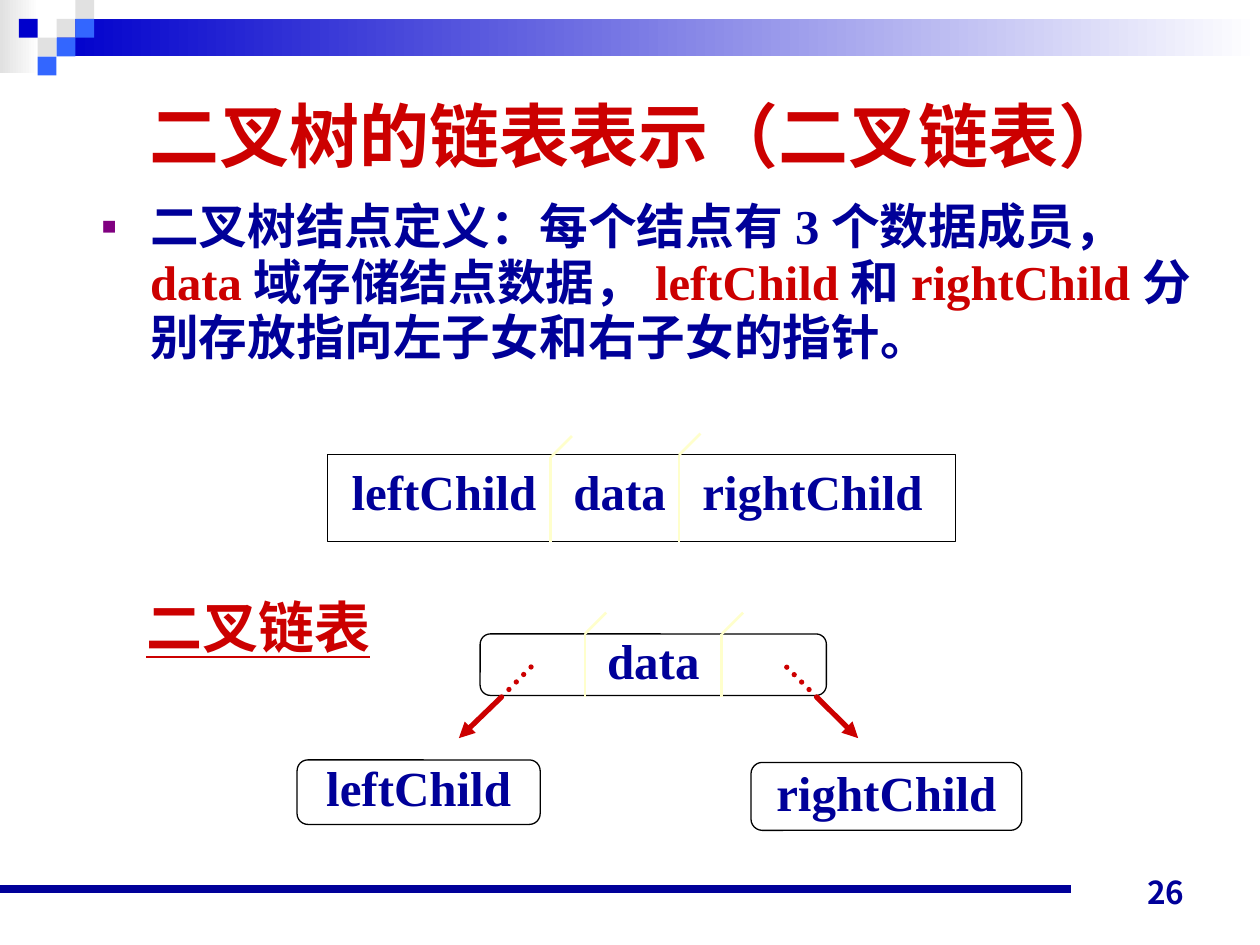
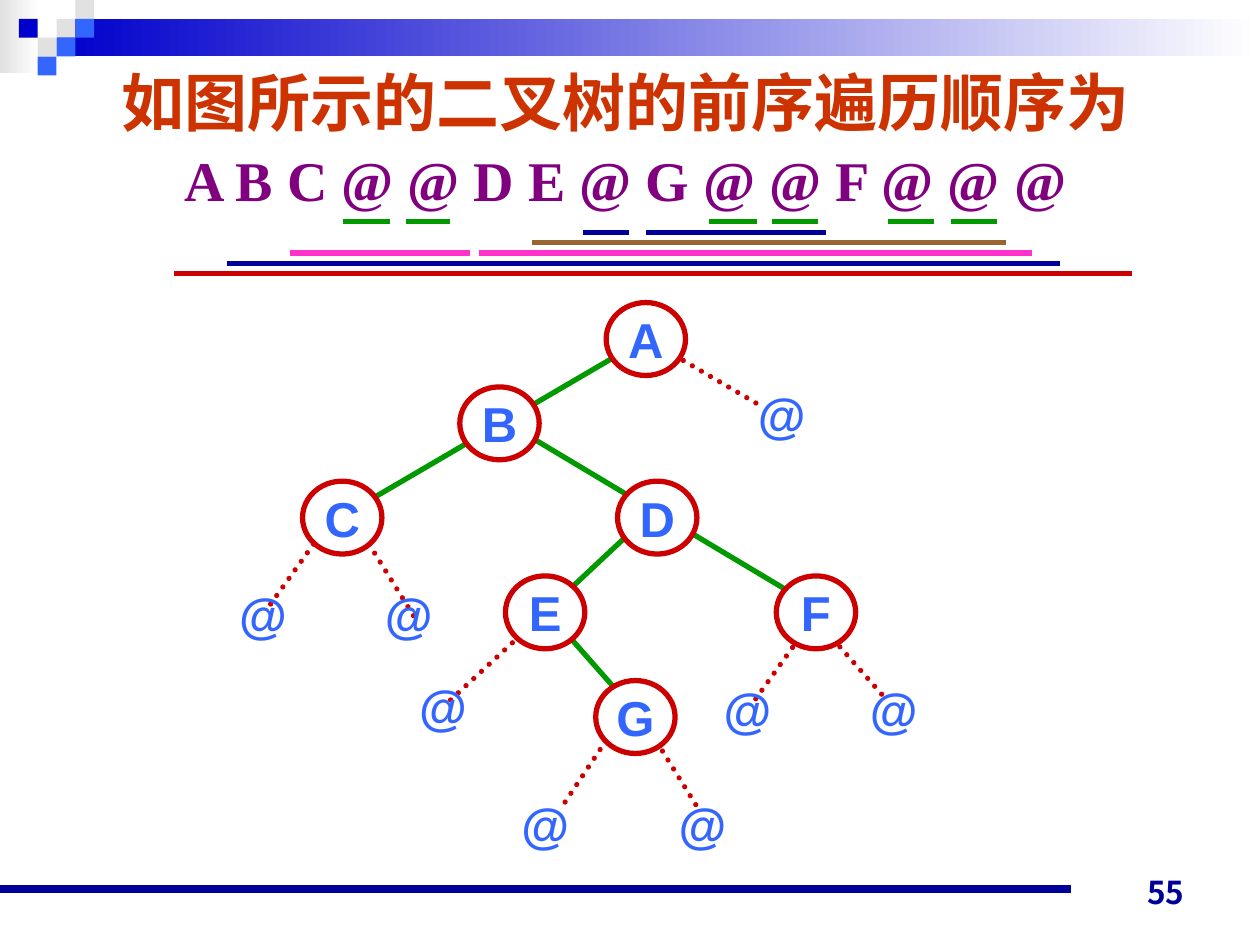
"""Build two slides on linked binary trees and preorder traversal."""
import lxml.etree
import pptx
import pptx.dml.color
import pptx.enum.dml
import pptx.enum.shapes
import pptx.enum.text
import pptx.oxml.ns
import pptx.util

Cm = pptx.util.Cm
Pt = pptx.util.Pt
SHAPE = pptx.enum.shapes.MSO_SHAPE
ALIGN = pptx.enum.text.PP_ALIGN
ANCHOR = pptx.enum.text.MSO_ANCHOR

NAVY, RED, GREEN, BLUE = "000099", "CC0000", "009900", "3366FF"
PURPLE, ORANGE, BROWN, PINK = "800080", "CC3300", "996633", "FF33CC"
CREAM, BLACK, WHITE, GREY, DEEP_BLUE = "FFFFCC", "000000", "FFFFFF", "E1E1E1", "0000CC"
SERIF, SANS, CJK = "Times New Roman", "Arial", "Noto Sans CJK JP"


def color(value):
    return pptx.dml.color.RGBColor.from_string(value)


def add_element(parent, tag, **attributes):
    element = lxml.etree.SubElement(parent, pptx.oxml.ns.qn(tag))
    for name, value in attributes.items():
        element.set(name, str(value))
    return element


class Deck:
    def __init__(self):
        self.presentation = pptx.Presentation()
        self.presentation.slide_width = Cm(25.4)
        self.presentation.slide_height = Cm(19.05)
        self.slide = None

    def start_slide(self, layout, number):
        layouts = self.presentation.slide_layouts
        self.slide = self.presentation.slides.add_slide(layouts.get_by_name(layout))
        if len(self.presentation.slides) == 1:
            self.decorate_master()
        page = self.text(18.21, 17.22, 5.92, 1.27, number, 18, NAVY, CJK, align=ALIGN.RIGHT)
        page.text_frame.vertical_anchor = ANCHOR.BOTTOM

    def decorate_master(self):
        pitch = 0.38
        squares = [(3, 1, GREY), (4, 0, GREY), (4, 1, BLUE), (2, 2, GREY),
                   (1, 1, DEEP_BLUE), (3, 2, BLUE), (2, 3, BLUE)]
        parts = [self.gradient(0, 0, 0.79, 1.47, GREY),
                 self.gradient(1.14, 0.38, 24.26, 0.76, DEEP_BLUE)]
        for column, row, fill in squares:
            parts.append(self.box(column * pitch, row * pitch, pitch, pitch, fill=fill))
        parts.append(self.line((0, 17.93), (21.59, 17.93), NAVY, 4.5))
        tree = self.presentation.slide_master.element.cSld.spTree
        for index, part in enumerate(parts):
            part.element.xpath(".//p:cNvPr")[0].set("id", str(100 + index))
            tree.insert(2 + index, part.element)

    def box(self, left, top, width, height, kind=SHAPE.RECTANGLE, fill=WHITE,
            outline=None, weight=0.75):
        shape = self.slide.shapes.add_shape(kind, Cm(left), Cm(top), Cm(width), Cm(height))
        shape.shadow.inherit = False
        shape.fill.solid()
        shape.fill.fore_color.rgb = color(fill)
        if outline:
            shape.line.color.rgb = color(outline)
            shape.line.width = Pt(weight)
        else:
            shape.line.fill.background()
        return shape

    def gradient(self, left, top, width, height, start):
        shape = self.box(left, top, width, height)
        shape.fill.gradient()
        shape.fill.gradient_angle = 0
        for stop, value in zip(shape.fill.gradient_stops, (start, WHITE)):
            stop.color.rgb = color(value)
        return shape

    def line(self, start, end, stroke, weight=3, dotted=False, arrow=False):
        connector = self.slide.shapes.add_connector(
            pptx.enum.shapes.MSO_CONNECTOR.STRAIGHT,
            Cm(start[0]), Cm(start[1]), Cm(end[0]), Cm(end[1]))
        connector.line.color.rgb = color(stroke)
        connector.line.width = Pt(weight)
        properties = connector.element.spPr
        outline = properties.find(pptx.oxml.ns.qn("a:ln"))
        if dotted:
            connector.line.dash_style = pptx.enum.dml.MSO_LINE.ROUND_DOT
            outline.set("cap", "rnd")
        if arrow:
            add_element(outline, "a:tailEnd", type="triangle")
        add_element(properties, "a:effectLst")
        return connector

    def run(self, paragraph, text, size, fill, font, underline=None):
        run = paragraph.add_run()
        run.text = text
        run.font.size = Pt(size)
        run.font.bold = True
        run.font.underline = underline
        run.font.color.rgb = color(fill)
        run.font.name = font
        add_element(run.font._element, "a:ea", typeface=CJK)

    def label(self, shape, text, size, fill, font=SERIF, align=ALIGN.CENTER,
              underline=None, bottom=0.0, left=0.0):
        frame = shape.text_frame
        frame.word_wrap = True
        frame.vertical_anchor = ANCHOR.MIDDLE
        frame.margin_left, frame.margin_bottom = Cm(left), Cm(bottom)
        frame.margin_right = frame.margin_top = 0
        paragraph = frame.paragraphs[0]
        paragraph.alignment = align
        self.run(paragraph, text, size, fill, font, underline)
        return paragraph

    def text(self, left, top, width, height, text, size, fill, font=SERIF, **style):
        shape = self.slide.shapes.add_textbox(Cm(left), Cm(top), Cm(width), Cm(height))
        self.label(shape, text, size, fill, font, **style)
        shape.text_frame.margin_right = Cm(0.25)
        shape.text_frame.margin_left = Cm(0.25)
        shape.text_frame.margin_bottom = shape.text_frame.margin_top = Cm(0.13)
        return shape

    def place(self, shape, left, top, width, height):
        shape.left, shape.top = Cm(left), Cm(top)
        shape.width, shape.height = Cm(width), Cm(height)
        shape.text_frame.auto_size = pptx.enum.text.MSO_AUTO_SIZE.NONE

    def title(self, left, top, width, height, lines, spacing=1.0):
        shape = self.slide.shapes.title
        self.place(shape, left, top, width, height)
        frame = shape.text_frame
        frame.vertical_anchor = ANCHOR.MIDDLE
        for index, line in enumerate(lines):
            paragraph = frame.add_paragraph() if index else frame.paragraphs[0]
            paragraph.alignment = ALIGN.CENTER
            paragraph.line_spacing = spacing
            self.run(paragraph, *line)

    def bullet(self, left, top, width, height, runs):
        shape = self.slide.placeholders[1]
        self.place(shape, left, top, width, height)
        paragraph = shape.text_frame.paragraphs[0]
        properties = paragraph._p.get_or_add_pPr()
        properties.set("marL", str(Cm(0.97)))
        properties.set("indent", str(-Cm(0.97)))
        add_element(add_element(properties, "a:buClr"), "a:srgbClr", val=PURPLE)
        add_element(properties, "a:buSzPct", val=50000)
        add_element(properties, "a:buChar", char="■")
        paragraph.line_spacing = 0.95
        paragraph.space_before = Pt(0)
        for text, fill in runs:
            self.run(paragraph, text, 27.8, fill, SERIF)

    def divider(self, x, bottom, top):
        self.line((x, bottom), (x, top), CREAM, 1.5)
        self.line((x, top), (x + 0.43, top - 0.43), CREAM, 1.5)

    def pointer(self, start, border, end):
        self.line(border, end, RED, arrow=True)
        self.line(border, start, RED, dotted=True)

    def underlines(self, row, stroke, spans):
        top = 4.47 + 0.21 * row
        for start, end in spans:
            self.line((start, top), (end, top), stroke)


def build_linked_list(deck):
    deck.start_slide("Title and Content", "26")
    deck.title(1.45, 1.32, 22.86, 2.79, [("二叉树的链表表示（二叉链表）", 40, RED, SANS)])
    deck.bullet(1.8, 3.91, 22.5, 4.39, [
        ("二叉树结点定义：每个结点有3个数据成员，", NAVY),
        ("data", RED),
        ("域存储结点数据，", NAVY),
        ("leftChild", RED),
        ("和", NAVY),
        ("rightChild", RED),
        ("分别存放指向左子女和右子女的指针。", NAVY)])

    record = deck.box(6.6, 9.17, 12.67, 1.75, outline=BLACK)
    fields = deck.label(record, "leftChild\tdata\trightChild", 28, NAVY,
                        align=ALIGN.LEFT, left=0.49, bottom=0.3)
    tabs = add_element(fields._p.get_or_add_pPr(), "a:tabLst")
    for position in (4.47, 7.07):
        add_element(tabs, "a:tab", pos=int(Cm(position)), algn="l")
    deck.divider(11.1, 10.92, 9.22)
    deck.divider(13.69, 10.92, 9.17)

    for name, left, top, width, height in [("data", 9.68, 12.78, 6.98, 1.24),
                                           ("rightChild", 15.14, 15.37, 5.46, 1.37),
                                           ("leftChild", 5.99, 15.32, 4.9, 1.3)]:
        node = deck.box(left, top, width, height, SHAPE.ROUNDED_RECTANGLE, outline=BLACK)
        deck.label(node, name, 28, NAVY, bottom=0.2)
    for x in (11.79, 14.55):
        deck.divider(x, 14.05, 12.78)
    deck.pointer((10.74, 13.41), (10.11, 14.05), (9.25, 14.88))
    deck.pointer((15.82, 13.41), (16.46, 14.05), (17.3, 14.88))
    deck.text(2.69, 11.81, 5.03, 1.63, "二叉链表", 32, RED, underline=True)


def build_preorder(deck):
    deck.start_slide("Title Only", "55")
    deck.title(1.8, 0.99, 21.62, 3.43, [
        ("如图所示的二叉树的前序遍历顺序为", 36, ORANGE, SERIF),
        ("A B C @ @ D E @ G @ @ F @ @ @", 32, PURPLE, SERIF)], 1.1)

    empty_edges = [((10.64, 12.67), (9.04, 14.15)), ((12.45, 14.58), (11.33, 16.26)),
                   ((13.13, 14.78), (14.05, 16.26)), ((6.32, 10.97), (5.41, 12.24)),
                   ((7.44, 10.97), (8.36, 12.45)), ((16.79, 12.88), (17.91, 14.15)),
                   ((13.59, 7.16), (15.42, 8.23)), ((16.1, 12.88), (15.19, 14.15))]
    node_edges = [((11.33, 12.67), (12.45, 13.94)), ((12.67, 10.77), (11.1, 12.24)),
                  ((10.41, 8.64), (16.1, 12.04)), ((12.45, 7.16), (7.01, 10.34))]
    for start, end in empty_edges:
        deck.line(start, end, RED, dotted=True)
    for start, end in node_edges:
        deck.line(start, end, GREEN)

    nodes = {"A": (12.22, 6.1), "B": (9.27, 7.8), "C": (6.1, 9.7), "D": (12.45, 9.7),
             "E": (10.19, 11.61), "F": (15.65, 11.61), "G": (12.01, 13.72)}
    for name, (left, top) in nodes.items():
        node = deck.box(left, top, 1.6, 1.47, SHAPE.OVAL, outline=RED, weight=3)
        deck.label(node, name, 28, BLUE, SANS)
    empty_children = [(4.5, 11.66), (7.44, 11.66), (8.13, 13.51), (10.19, 15.88),
                      (13.36, 15.88), (14.27, 13.56), (17.22, 13.56), (14.96, 7.62)]
    for left, top in empty_children:
        deck.text(left, top, 1.6, 1.45, "@", 28, BLUE, SANS)

    subtrees = [
        (GREEN, [(6.91, 7.87), (8.18, 9.07), (14.3, 15.27),
                 (15.57, 16.48), (17.91, 18.82), (19.18, 20.09)]),
        (NAVY, [(11.76, 12.67), (13.03, 16.66)]),
        (BROWN, [(10.72, 16.84), (16.64, 20.27)]),
        (PINK, [(5.84, 9.47), (9.65, 20.8)]),
        (NAVY, [(4.57, 21.16), (20.45, 21.36)]),
        (RED, [(3.51, 22.83)])]
    for row, (stroke, spans) in enumerate(subtrees):
        deck.underlines(row, stroke, spans)


def main():
    deck = Deck()
    build_linked_list(deck)
    build_preorder(deck)
    deck.presentation.save("out.pptx")


if __name__ == "__main__":
    main()
